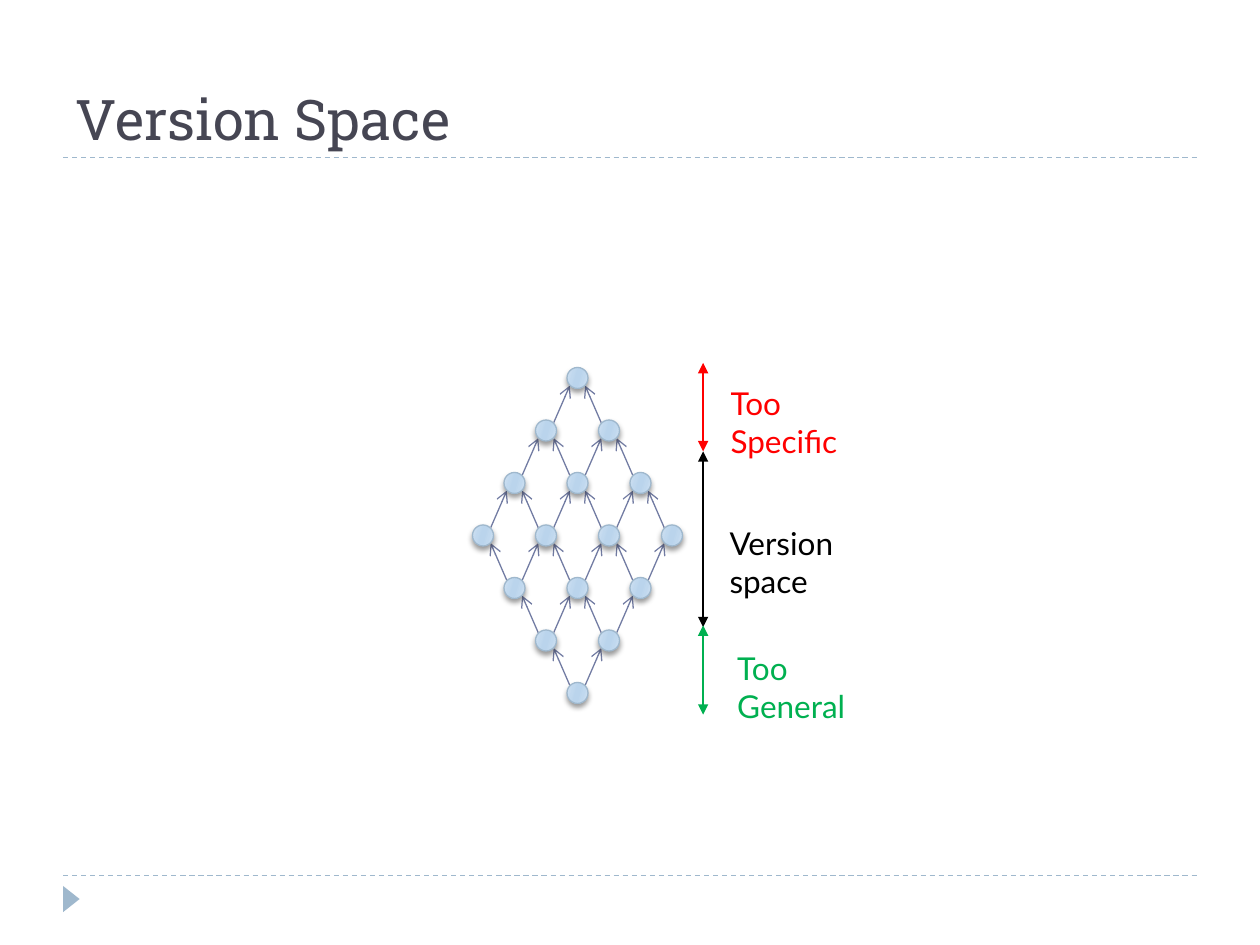
from lxml.etree import SubElement
from pptx import Presentation
from pptx.dml.color import RGBColor
from pptx.enum.dml import MSO_LINE
from pptx.enum.shapes import MSO_CONNECTOR, MSO_SHAPE
from pptx.enum.text import MSO_ANCHOR
from pptx.oxml.ns import qn
from pptx.util import Pt

TITLE_COLOR = RGBColor(0x46, 0x46, 0x53)
RULE_COLOR = RGBColor(0x9F, 0xB8, 0xCD)
EDGE_COLOR = RGBColor(0x72, 0x7C, 0xA3)
RED = RGBColor(0xFF, 0x00, 0x00)
GREEN = RGBColor(0x00, 0xB0, 0x50)
BLACK = RGBColor(0x00, 0x00, 0x00)
SHADE_LIGHT = RGBColor(0xD3, 0xE3, 0xF2)
SHADE_MID = RGBColor(0xC0, 0xD8, 0xEE)
SHADE_DEEP = RGBColor(0xBA, 0xD4, 0xEC)
NODE_STOPS = [(0, SHADE_LIGHT), (30, SHADE_MID), (45, SHADE_DEEP),
              (55, SHADE_DEEP), (73, SHADE_MID), (100, SHADE_LIGHT)]
ROW_SIZES = [1, 2, 3, 4, 3, 2, 1]


def add_line(slide, start, end, color, head=None, tail=None, dash=None):
    line = slide.shapes.add_connector(
        MSO_CONNECTOR.STRAIGHT, *(Pt(value) for value in (*start, *end)))
    line.line.color.rgb = color
    line.line.width = Pt(0.75)
    if dash:
        line.line.dash_style = dash
    properties = line._element.spPr
    outline = properties.find(qn("a:ln"))
    for tag, kind in (("a:headEnd", head), ("a:tailEnd", tail)):
        if kind:
            SubElement(outline, qn(tag), type=kind)
    SubElement(properties, qn("a:effectLst"))


def add_text(slide, box, text, font, size, color, anchor=MSO_ANCHOR.TOP):
    shape = slide.shapes.add_textbox(*(Pt(value) for value in box))
    frame = shape.text_frame
    frame.word_wrap = True
    frame.vertical_anchor = anchor
    run = frame.paragraphs[0].add_run()
    run.text = text
    run.font.name = font
    run.font.size = Pt(size)
    run.font.color.rgb = color


def add_node(slide, center, size):
    x, y = center
    node = slide.shapes.add_shape(
        MSO_SHAPE.OVAL, Pt(x - size / 2), Pt(y - size / 2), Pt(size), Pt(size))
    node.line.color.rgb = RULE_COLOR
    node.line.width = Pt(0.75)
    node.shadow.inherit = False
    properties = node._element.spPr

    gradient = SubElement(properties, qn("a:gradFill"), rotWithShape="1")
    stops = SubElement(gradient, qn("a:gsLst"))
    for position, color in NODE_STOPS:
        stop = SubElement(stops, qn("a:gs"), pos=str(position * 1000))
        SubElement(stop, qn("a:srgbClr"), val=str(color))
    SubElement(gradient, qn("a:lin"), ang=str(16 * 60000), scaled="0")
    properties.find(qn("a:prstGeom")).addnext(gradient)

    shadow = SubElement(
        properties.find(qn("a:effectLst")), qn("a:outerShdw"),
        blurRad=str(Pt(3)), dist=str(Pt(2)), dir=str(90 * 60000), rotWithShape="0")
    shadow_color = SubElement(shadow, qn("a:srgbClr"), val=str(BLACK))
    SubElement(shadow_color, qn("a:alpha"), val="40000")


def add_frame(slide, left, top, width, height):
    for y in (top, top + height):
        add_line(slide, (left, y), (left + width, y), RULE_COLOR, dash=MSO_LINE.DASH)
    marker = slide.shapes.add_shape(
        MSO_SHAPE.ISOSCELES_TRIANGLE,
        Pt(left - 2.75), Pt(top + height + 8.6), Pt(15), Pt(9.5))
    marker.rotation = 90
    marker.fill.solid()
    marker.fill.fore_color.rgb = RULE_COLOR
    marker.line.fill.background()
    marker.shadow.inherit = False
    add_text(slide, (left, top - 78, width, 78), "Version Space",
             "Roboto Slab", 32, TITLE_COLOR, MSO_ANCHOR.BOTTOM)


def add_lattice(slide, left, top, width, height):
    size, inset = 12, 4.4
    column_gap = (width - size) / (max(ROW_SIZES) - 1)
    row_gap = (height - size) / (len(ROW_SIZES) - 1)
    rows = [[(left + width / 2 + (column - (count - 1) / 2) * column_gap,
              top + size / 2 + row * row_gap) for column in range(count)]
            for row, count in enumerate(ROW_SIZES)]
    for upper_row, lower_row in zip(rows, rows[1:]):
        for lower_x, lower_y in lower_row:
            for upper_x, upper_y in upper_row:
                if abs(upper_x - lower_x) < column_gap:
                    shift = inset if upper_x > lower_x else -inset
                    add_line(slide, (lower_x + shift, lower_y - inset),
                             (upper_x - shift, upper_y + inset),
                             EDGE_COLOR, tail="arrow")
    for row in rows:
        for center in row:
            add_node(slide, center, size)


def add_ranges(slide, left, top):
    ranges = [("Too Specific", RED, 0, 50.5, 8.6, 8.6, 102.2),
              ("Version space", BLACK, 50.5, 151, 8, 88.5, 115.2),
              ("Too General", GREEN, 150, 201, 12.4, 160, 106.6)]
    for text, color, start, end, text_left, text_top, text_width in ranges:
        add_line(slide, (left, top + start), (left, top + end), color,
                 head="triangle", tail="triangle")
        add_text(slide, (left + text_left, top + text_top, text_width, 29),
                 text, "Lato", 18, color)


presentation = Presentation()
presentation.slide_width, presentation.slide_height = Pt(720), Pt(540)
slide = presentation.slides.add_slide(presentation.slide_layouts[6])
add_frame(slide, 36, 90, 648, 410.4)
add_lattice(slide, 270, 210, 120, 192)
add_ranges(slide, 401.8, 207.4)
presentation.save("out.pptx")
